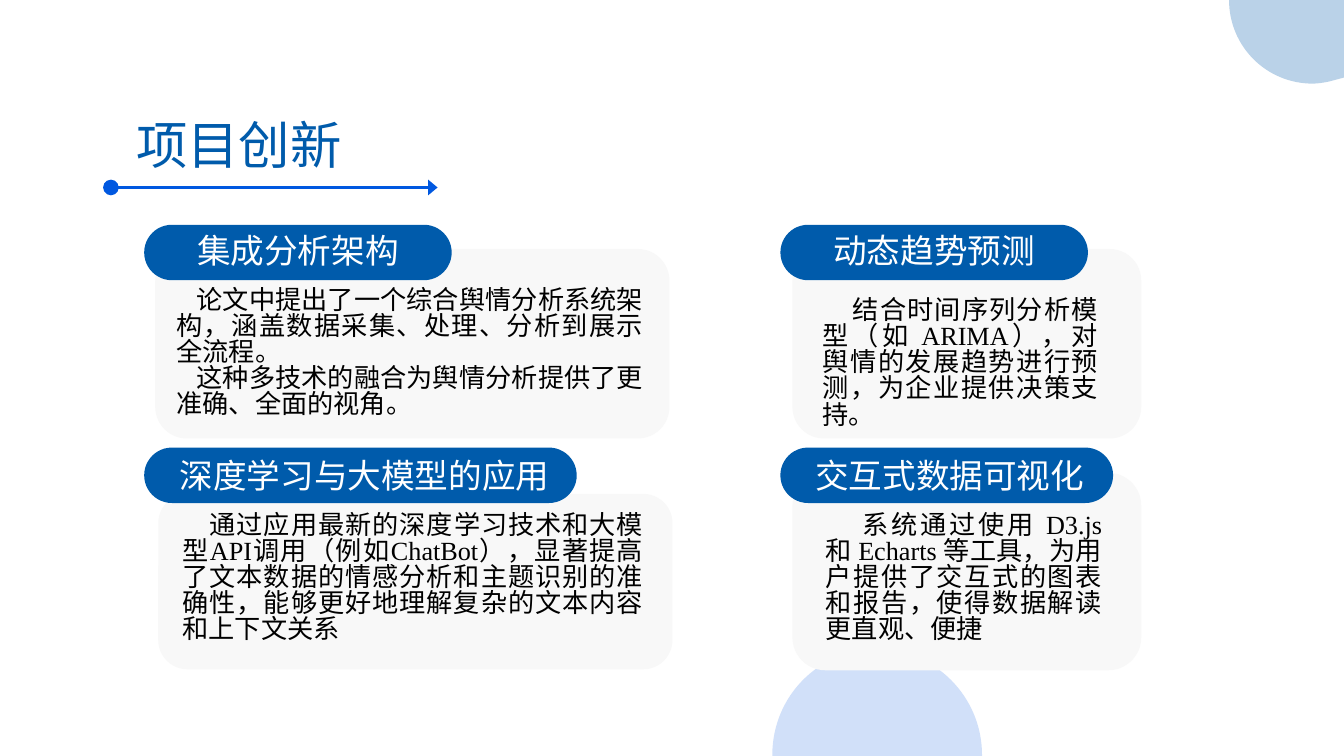
from lxml import etree
from pptx import Presentation
from pptx.dml.color import RGBColor
from pptx.enum import shapes as sh, text as tx
from pptx.oxml import ns
from pptx.util import Inches, Pt

WIDE, HIGH = 13.33, 7.5
NAVY, BLUE, GREY, WHITE, BLACK = "005BAB", "0058E0", "F8F8F8", "FFFFFF", "000000"

TITLE = "项目创新"
# Heading, pill box, label box, card box, body box, first-line indent, paragraphs
CARDS = [
    ("深度学习与大模型的应用", (1.43, 4.44, 4.29, 0.55), (1.56, 4.46, 4.11, 0.51),
     (1.57, 4.9, 5.1, 1.74), (1.81, 5.09, 4.57, 1.33), 0.27,
     ["通过应用最新的深度学习技术和大模型API调用（例如ChatBot），显著提高了文本数据的"
      "情感分析和主题识别的准确性，能够更好地理解复杂的文本内容和上下文关系"]),
    ("集成分析架构", (1.43, 2.23, 3.05, 0.55), (1.43, 2.23, 3.05, 0.51),
     (1.54, 2.47, 5.1, 1.88), (1.75, 2.86, 4.63, 1.33), 0.2,
     ["论文中提出了一个综合舆情分析系统架构，涵盖数据采集、处理、分析到展示全流程。",
      "这种多技术的融合为舆情分析提供了更准确、全面的视角。"]),
    ("动态趋势预测", (7.74, 2.23, 3.05, 0.55), (7.74, 2.23, 3.05, 0.51),
     (7.86, 2.47, 3.46, 1.88), (8.16, 2.96, 2.73, 1.33), 0.3,
     ["结合时间序列分析模型（如 ARIMA），对舆情的发展趋势进行预测，为企业提供决策支持。"]),
    ("交互式数据可视化", (7.74, 4.44, 3.3, 0.55), (7.84, 4.46, 3.16, 0.51),
     (7.86, 4.69, 3.46, 1.96), (8.19, 5.09, 2.74, 1.33), 0.36,
     ["系统通过使用 D3.js 和 Echarts 等工具，为用户提供了交互式的图表和报告，"
      "使得数据解读更直观、便捷"]),
]
# Colour, opacity in percent, start, then steps: one point is a line, three a curve
DISCS = [
    (BLUE, 18, (8.7, 6.44), [
        [(9.27, 6.44), (9.74, 6.91), (9.74, 7.49)], [(9.74, 7.5)], [(7.66, 7.5)],
        [(7.66, 7.49)], [(7.66, 6.91), (8.12, 6.44), (8.7, 6.44)]]),
    (NAVY, 27, (12.19, 0), [
        [(13.33, 0)], [(13.33, 0.77)], [(13.18, 0.81)],
        [(13.13, 0.82), (13.07, 0.83), (13.02, 0.83)],
        [(12.56, 0.83), (12.19, 0.46), (12.19, 0)]]),
]

prs = Presentation()
prs.slide_width, prs.slide_height = Inches(WIDE), Inches(HIGH)
slide = prs.slides.add_slide(prs.slide_layouts[5])


def paint(fmt, color):
    fmt.solid()
    fmt.fore_color.rgb = RGBColor.from_string(color)


def place(box):
    return [Inches(v) for v in box]


def write(shape, paras, size, font, color, align, lead, pad=0, mid=False, indent=0):
    frame = shape.text_frame
    frame.text = "\n".join(paras)
    frame.word_wrap = True
    frame.auto_size = tx.MSO_AUTO_SIZE.NONE
    frame.vertical_anchor = tx.MSO_ANCHOR.MIDDLE if mid else tx.MSO_ANCHOR.TOP
    frame.margin_left = frame.margin_right = Inches(pad)
    frame.margin_top = frame.margin_bottom = Inches(pad)
    for para in frame.paragraphs:
        para.alignment = align
        para.line_spacing = Pt(lead)
        para.space_before = Pt(0)
        if indent:
            para._p.get_or_add_pPr().set("indent", str(Inches(indent)))
        for run in para.runs:
            run.font.size, run.font.name = Pt(size), font
            paint(run.font.fill, color)


def finish(shape, color):
    shape.shadow.inherit = False
    paint(shape.fill, color)
    shape.line.fill.background()


def block(box, color, adj=None):
    shape = slide.shapes.add_shape(sh.MSO_SHAPE.ROUNDED_RECTANGLE, *place(box))
    finish(shape, color)
    if adj:
        shape.adjustments[0] = adj


def disc(color, alpha, start, steps):
    form = slide.shapes.build_freeform(*place(start))
    form.add_line_segments([place(p) for step in steps for p in step], close=True)
    shape = form.convert_to_shape()
    finish(shape, color)
    # Join each run of three points into one curve
    lines = iter(shape._element.findall(".//" + ns.qn("a:lnTo")))
    for step in steps:
        group = [next(lines) for _ in step]
        if len(group) == 3:
            curve = etree.Element(ns.qn("a:cubicBezTo"))
            group[0].addprevious(curve)
            for line in group:
                curve.append(line[0])
                line.getparent().remove(line)
    tint = shape._element.spPr.find(".//" + ns.qn("a:srgbClr"))
    etree.SubElement(tint, ns.qn("a:alpha")).set("val", str(alpha * 1000))


# Corner and bottom discs
for item in DISCS:
    disc(*item)

# Title and its arrow
title = slide.shapes.title
title.left, title.top, title.width, title.height = place((0.75, 1.12, 3.24, 0.62))
write(title, [TITLE], 36.7, "Calibri", NAVY, tx.PP_ALIGN.CENTER, 44)

arrow = slide.shapes.add_connector(sh.MSO_CONNECTOR.STRAIGHT, *place((1.1, 1.86, 4.34, 1.86)))
paint(arrow.line.fill, BLUE)
arrow.line.width = Pt(2.25)
for tag, kind, size in (("a:headEnd", "oval", "lg"), ("a:tailEnd", "triangle", "med")):
    end = etree.SubElement(arrow.line._get_or_add_ln(), ns.qn(tag))
    end.set("type", kind)
    end.set("w", "lg")
    end.set("len", size)
etree.SubElement(arrow._element.spPr, ns.qn("a:effectLst"))

# Four cards, each with a pill heading
for head, pill, label, card, body, indent, paras in CARDS:
    block(card, GREY)
    block(pill, NAVY, 0.5)
    write(slide.shapes.add_textbox(*place(label)), [head], 24, "Calibri", WHITE,
          tx.PP_ALIGN.CENTER, 28.8, pad=0.04, mid=True)
    write(slide.shapes.add_textbox(*place(body)), paras, 18.7, "Times New Roman", BLACK,
          tx.PP_ALIGN.JUSTIFY, 18.7, indent=indent)

prs.save("out.pptx")
